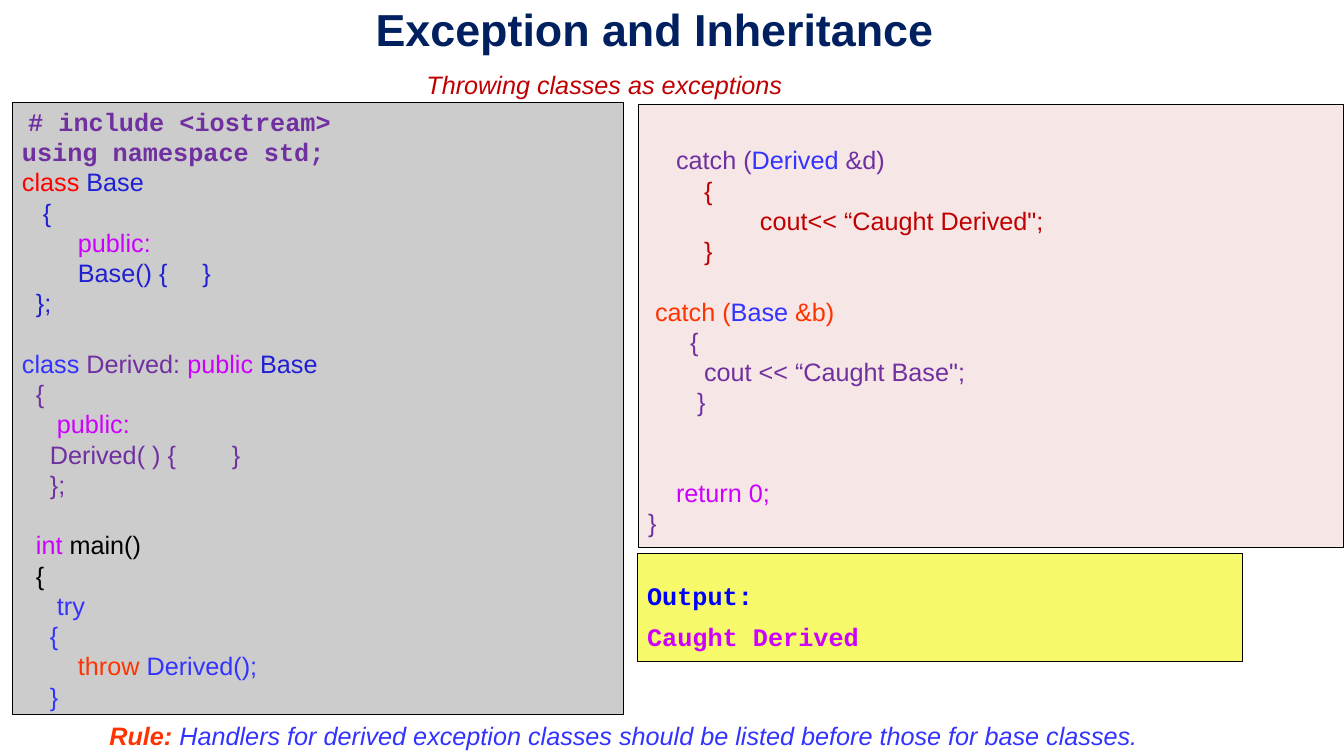
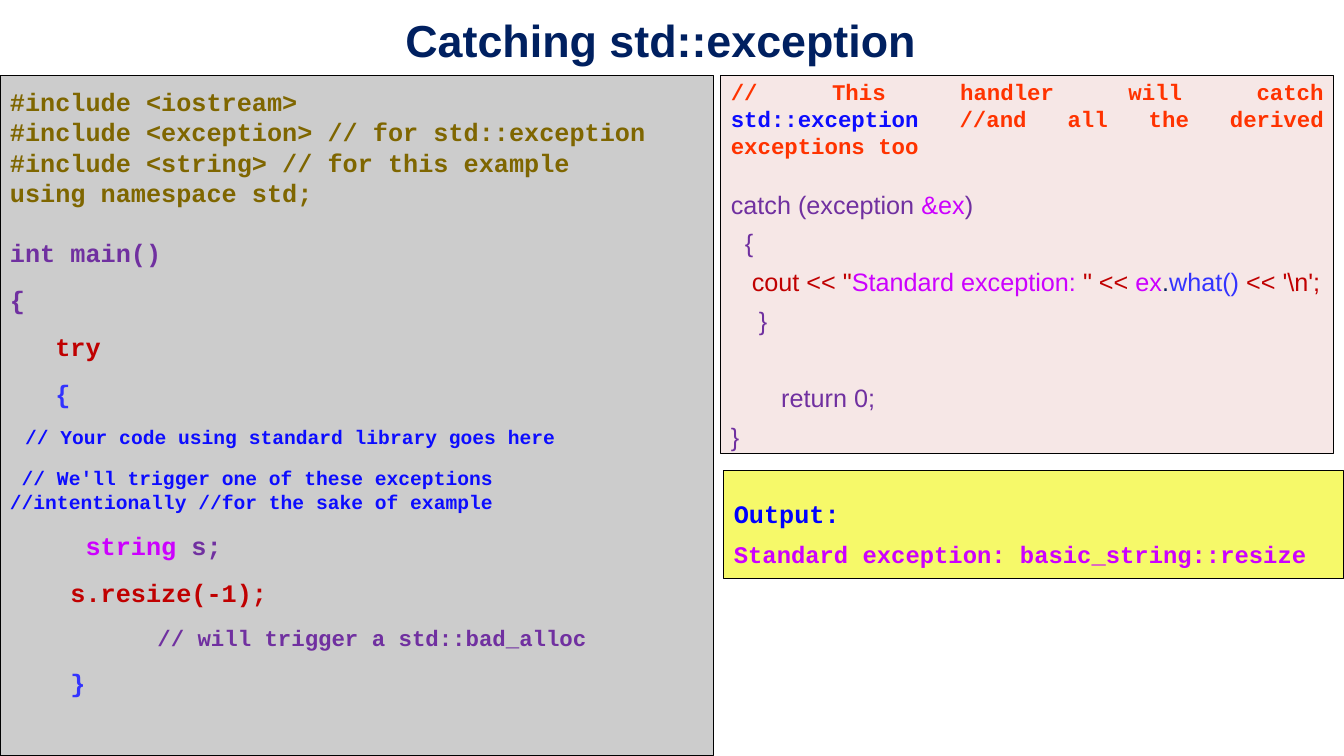
from pptx import Presentation
from pptx.dml.color import RGBColor
from pptx.enum.shapes import MSO_SHAPE
from pptx.enum.text import MSO_ANCHOR, PP_ALIGN
from pptx.util import Inches, Pt

RECT = MSO_SHAPE.RECTANGLE
TOP, MIDDLE = MSO_ANCHOR.TOP, MSO_ANCHOR.MIDDLE
LEFT, CENTER, JUSTIFY = PP_ALIGN.LEFT, PP_ALIGN.CENTER, PP_ALIGN.JUSTIFY

# Colours
BLACK, NAVY, RED, DARK = "000000", "002060", "FF0000", "C00000"
PURPLE, PINK, ORANGE, BROWN = "7030A0", "CC00FF", "FF3300", "7F6600"
BLUE, ROYAL, VIVID, PURE = "3333FF", "1F1FD3", "0C0CFF", "0000FF"
GREY, ROSE, YELLOW = "CCCCCC", "F6E7E6", "F6F969"

# Text styles: font, size, bold, italic
PLAIN = ("Arial", 18, False, False)
SMALL = ("Arial", 16, False, False)
SLANT = ("Arial", 18, False, True)
STRONG = ("Arial", 18, True, True)
HEAD = ("Arial", 32, True, False)
CODE = ("Courier New", 18, True, False)
CODE17, CODE16, CODE14 = [("Courier New", n, True, False) for n in (17, 16, 14)]

LEAD = 1.2            # line pitch relative to text size
GAP = 21.6            # one empty 18 pt line, in points


def line(*runs, style=PLAIN, before=0, align=LEFT):
    """Each run is (text, colour) or (text, colour, style)."""
    return runs, style, before, align


def result(text, style):
    return [line(("Output:", PURE), style=CODE),
            line((text, PINK), style=style, before=8)]


# Slide 1 content
BASE = [
    line((" ", PURPLE, SMALL), ("# include <iostream>", PURPLE), style=CODE),
    line(("using namespace std;", PURPLE), style=CODE),
    line(("class", RED), (" Base", ROYAL)),
    line(("   {", ROYAL)),
    line(("        public:", PINK)),
    line(("        Base() {     }", ROYAL)),
    line(("  };", ROYAL)),
    line(("class", BLUE), (" Derived: ", PURPLE), ("public ", PINK),
         ("Base", ROYAL), before=GAP),
    line(("  {", PURPLE)),
    line(("     public:", PINK)),
    line(("    Derived( ) {        }", PURPLE)),
    line(("    };", PURPLE)),
    line(("  int ", PINK), ("main()", BLACK), before=GAP),
    line(("  {", BLACK)),
    line(("     try", BLUE)),
    line(("    {", BLUE)),
    line(("        throw", ORANGE), (" Derived();", BLUE)),
    line(("    }", BLUE)),
]
CATCH = [
    line(("    catch (", PURPLE), ("Derived", BLUE), (" &d)", PURPLE)),
    line(("        {", DARK)),
    line(("                cout<< “Caught Derived\";", DARK)),
    line(("        }", DARK)),
    line((" catch (", ORANGE), ("Base", BLUE), (" &b)", ORANGE), before=GAP),
    line(("      {", PURPLE)),
    line(("        cout << “Caught Base\";", PURPLE)),
    line(("       }", PURPLE)),
    line(("    return 0;", PINK), before=2 * GAP),
    line(("}", PURPLE)),
]
NOTE = [line(("Throwing classes as exceptions", DARK), style=SLANT,
             align=CENTER)]
RULE = [line(("Rule: ", ORANGE, STRONG),
             ("Handlers for derived exception classes should be listed "
              "before those for base classes.", BLUE),
             style=SLANT, align=CENTER)]

# Slide 2 content
RESIZE = [
    line(("#include <iostream>", BROWN), style=CODE),
    line(("#include <exception> // for std::exception", BROWN), style=CODE),
    line(("#include <string> // for this example", BROWN), style=CODE),
    line(("using namespace std;", BROWN), style=CODE),
    line(("int main()", PURPLE), style=CODE, before=GAP),
    line(("{", PURPLE), style=CODE, before=12),
    line(("   try", DARK), style=CODE, before=12),
    line(("   {", BLUE), style=CODE, before=12),
    line((" ", PURPLE, CODE),
         ("// Your code using standard library goes here", VIVID),
         style=CODE14, before=12),
    line((" // We'll trigger one of these exceptions //intentionally "
          "//for the sake of example", VIVID), style=CODE14, before=12),
    line(("     string ", PINK), ("s;", PURPLE), style=CODE, before=12),
    line(("    s.resize(-1);", DARK), style=CODE, before=12),
    line(("           // will trigger a std::bad_alloc", PURPLE),
         style=CODE16, before=12),
    line(("    }", BLUE), style=CODE, before=12),
]
HANDLER = [
    line(("// This handler will catch ", ORANGE), ("std::exception ", VIVID),
         ("//and all the derived exceptions too", ORANGE),
         style=CODE16, align=JUSTIFY),
    line(("catch (exception ", PURPLE), ("&ex", PINK), (")", PURPLE),
         before=GAP),
    line(("  {", PURPLE), before=6),
    line(("   cout << \"", DARK), ("Standard exception: ", PINK),
         ("\" << ", DARK), ("ex", PINK), (".", NAVY), ("what() ", BLUE),
         ("<< '\\n';", DARK), before=6),
    line(("    }", PURPLE), before=6),
    line(("\treturn 0;", PURPLE), before=GAP + 12),
    line(("}", PURPLE), before=6),
]

# Each slide: title, title corner, panels (place, fill, top and bottom
# inset, lines), captions (place, lines)
SLIDES = [
    ("Exception and Inheritance", (1.83, -0.03),
     [((0.12, 1.02, 6.06, 6.07), GREY, 0.05, 0.05, BASE),
      ((6.33, 1.04, 7, 4.39), ROSE, 0.35, 0.05, CATCH),
      ((6.32, 5.49, 6, 1.07), YELLOW, 0.22, 0.05,
       result("Caught Derived", CODE))],
     [((0.41, 0.64, 11.17, 0.4), NOTE),
      ((0.6, 7.1, 11.17, 0.4), RULE)]),
    ("Catching std::exception", (1.89, 0.08),
     [((0, 0.75, 7.08, 6.75), GREY, 0.05, 0.52, RESIZE),
      ((7.15, 0.75, 6.08, 3.75), ROSE, 0.05, 0.05, HANDLER),
      ((7.18, 4.67, 6.15, 1.07), YELLOW, 0.22, 0.05,
       result("Standard exception: basic_string::resize", CODE17))],
     []),
]


def color(code):
    return RGBColor.from_string(code)


def write(shape, lines, anchor, top=0.05, bottom=0.05, fixed=False):
    frame = shape.text_frame
    frame.word_wrap = True
    frame.vertical_anchor = anchor
    frame.margin_left = frame.margin_right = Inches(0.1)
    frame.margin_top, frame.margin_bottom = Inches(top), Inches(bottom)
    for i, (runs, style, before, align) in enumerate(lines):
        para = frame.add_paragraph() if i else frame.paragraphs[0]
        para.alignment = align
        para.space_before = Pt(before)
        if fixed:
            para.line_spacing = Pt(round(style[1] * LEAD, 1))
        for text, tint, *own in runs:
            run = para.add_run()
            run.text = text
            font = run.font
            name, size, font.bold, font.italic = own[0] if own else style
            font.name, font.size = name, Pt(size)
            font.color.rgb = color(tint)


def label(slide, place, lines):
    box = slide.shapes.add_textbox(*map(Inches, place))
    write(box, lines, TOP)


def panel(slide, place, fill, top, bottom, lines):
    box = slide.shapes.add_shape(RECT, *map(Inches, place))
    box.shadow.inherit = False
    box.fill.solid()
    box.fill.fore_color.rgb = color(fill)
    box.line.color.rgb = color(BLACK)
    box.line.width = Pt(0.75)
    write(box, lines, MIDDLE, top, bottom, fixed=True)


def main():
    deck = Presentation()
    deck.slide_width, deck.slide_height = Inches(13.33), Inches(7.5)
    for title, corner, panels, notes in SLIDES:
        slide = deck.slides.add_slide(deck.slide_layouts[6])
        for item in panels:
            panel(slide, *item)
        label(slide, (*corner, 9.33, 0.64),
              [line((title, NAVY), style=HEAD, align=CENTER)])
        for place, lines in notes:
            label(slide, place, lines)
    deck.save("out.pptx")


if __name__ == "__main__":
    main()
